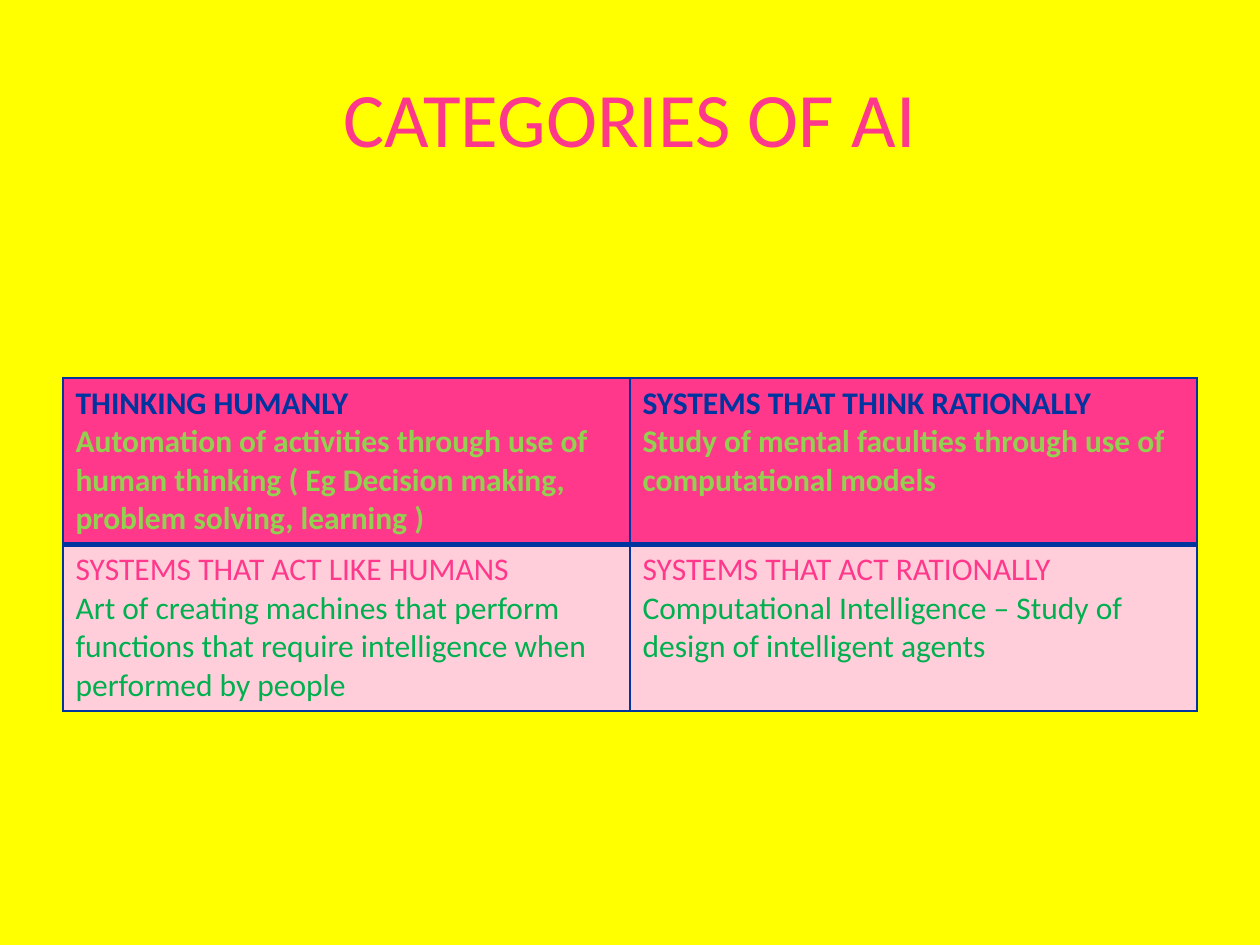
"""Build the slide on the four categories of AI as a two by two table."""
from lxml.etree import SubElement
from pptx import Presentation
from pptx.dml.color import RGBColor
from pptx.enum.text import MSO_ANCHOR, PP_ALIGN
from pptx.oxml.ns import qn
from pptx.util import Pt

YELLOW = RGBColor(0xFF, 0xFF, 0x00)
PINK = RGBColor(0xFF, 0x38, 0x8C)
PALE_PINK = RGBColor(0xFF, 0xCE, 0xDA)
NAVY = RGBColor(0x00, 0x34, 0x9E)
LIME = RGBColor(0x92, 0xD0, 0x50)
GREEN = RGBColor(0x00, 0xB0, 0x50)

TITLE = "CATEGORIES OF AI"
CATEGORIES = [
    [("THINKING HUMANLY",
      "Automation of activities through use of human thinking "
      "( Eg Decision making, problem solving, learning )"),
     ("SYSTEMS THAT THINK RATIONALLY",
      "Study of mental faculties through use of computational models")],
    [("SYSTEMS THAT ACT LIKE HUMANS",
      "Art of creating machines that perform functions that require "
      "intelligence when performed by people"),
     ("SYSTEMS THAT ACT RATIONALLY",
      "Computational Intelligence – Study of design of intelligent agents")],
]
ROW_STYLES = [
    {"fill": PINK, "colors": (NAVY, LIME), "bold": True,
     "borders": {"L": 1, "R": 1, "T": 1, "B": 3}},
    {"fill": PALE_PINK, "colors": (PINK, GREEN), "bold": False,
     "borders": {"L": 1, "R": 1, "T": 3, "B": 1}},
]
LEFT, WIDTH = 36, 648
TABLE_TOP, ROW_HEIGHT = 216, 87.12


def write(p, text, size=18, color=NAVY, bold=False, align=None):
    p.alignment = align
    r = p.add_run()
    r.text = text
    r.font.name = "Calibri"
    r.font.size = Pt(size)
    r.font.bold = bold
    r.font.color.rgb = color


def set_borders(cell, widths):
    tc_pr = cell._tc.get_or_add_tcPr()
    for side, width in widths.items():
        ln = SubElement(tc_pr, qn(f"a:ln{side}"), w=str(Pt(width)))
        fill = SubElement(ln, qn("a:solidFill"))
        SubElement(fill, qn("a:srgbClr"), val=str(NAVY))


def fill_cell(cell, texts, style):
    set_borders(cell, style["borders"])
    cell.fill.solid()
    cell.fill.fore_color.rgb = style["fill"]
    tf = cell.text_frame
    for i, (text, color) in enumerate(zip(texts, style["colors"])):
        p = tf.add_paragraph() if i else tf.paragraphs[0]
        write(p, text, color=color, bold=style["bold"])


def main():
    prs = Presentation()
    prs.slide_width, prs.slide_height = Pt(720), Pt(540)
    slide = prs.slides.add_slide(prs.slide_layouts[5])
    slide.background.fill.solid()
    slide.background.fill.fore_color.rgb = YELLOW

    title = slide.shapes.title
    title.left, title.top = Pt(LEFT), Pt(21.6)
    title.width, title.height = Pt(WIDTH), Pt(90)
    title.text_frame.vertical_anchor = MSO_ANCHOR.MIDDLE
    write(title.text_frame.paragraphs[0], TITLE, size=44, color=PINK,
          align=PP_ALIGN.CENTER)

    rows, cols = len(CATEGORIES), len(CATEGORIES[0])
    table = slide.shapes.add_table(
        rows, cols, Pt(LEFT), Pt(TABLE_TOP), Pt(WIDTH),
        Pt(ROW_HEIGHT * rows)).table
    for i, (row, style) in enumerate(zip(CATEGORIES, ROW_STYLES)):
        for j, texts in enumerate(row):
            fill_cell(table.cell(i, j), texts, style)

    prs.save("out.pptx")


if __name__ == "__main__":
    main()
